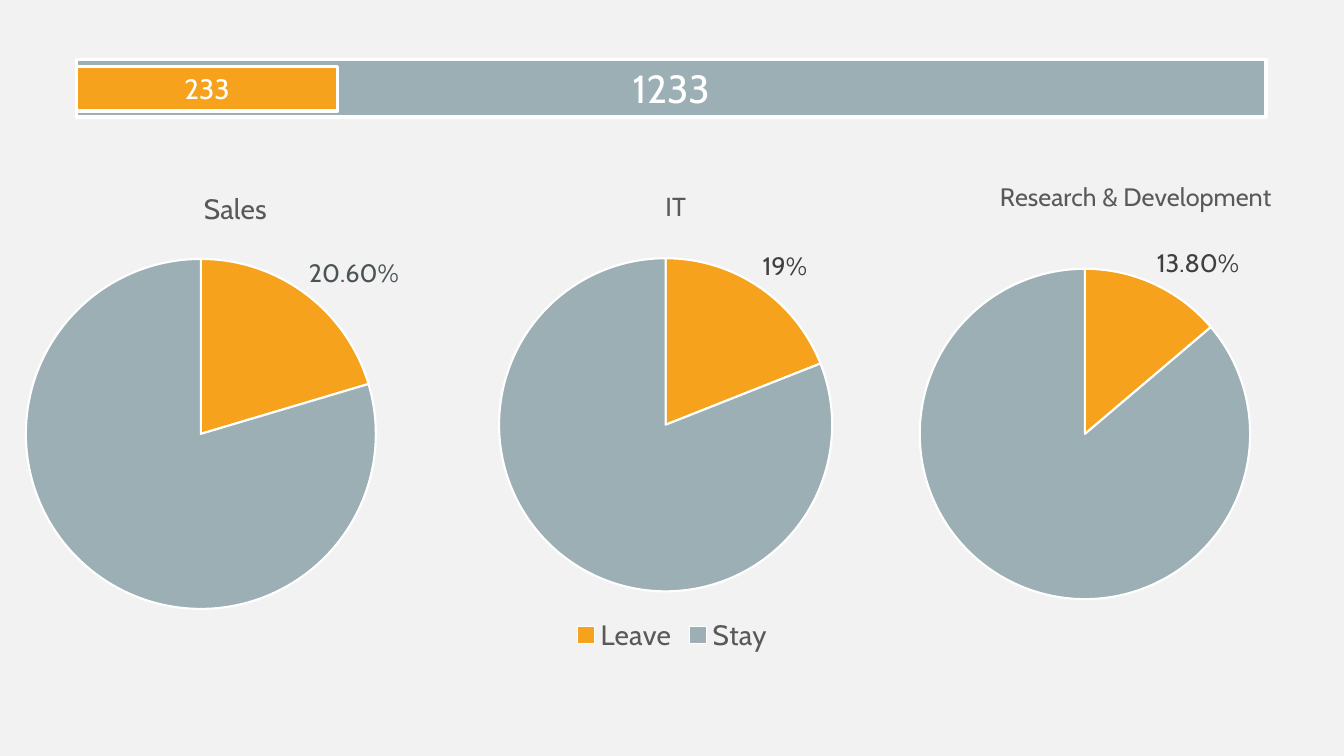
from lxml import etree
from pptx import Presentation
from pptx.chart.data import CategoryChartData
from pptx.dml.color import RGBColor
from pptx.enum.chart import XL_CHART_TYPE, XL_LABEL_POSITION, XL_LEGEND_POSITION
from pptx.enum.shapes import MSO_SHAPE
from pptx.enum.text import MSO_ANCHOR, PP_ALIGN
from pptx.oxml.ns import qn
from pptx.util import Pt

PIE = XL_CHART_TYPE.PIE
OUTSIDE_END = XL_LABEL_POSITION.OUTSIDE_END
BOTTOM = XL_LEGEND_POSITION.BOTTOM
RECTANGLE = MSO_SHAPE.RECTANGLE
MIDDLE, CENTER = MSO_ANCHOR.MIDDLE, PP_ALIGN.CENTER

FONT = "Cabin"
ORANGE, GREY, WHITE, TEXT = "F6A21D", "9BAFB5", "FFFFFF", "595959"

BARS = [
    ("1233", 28, GREY, (54.7, 42.5, 849.6, 41)),
    ("233", 20, ORANGE, (54.7, 47.5, 186.5, 31.7)),
]
PIES = [
    dict(title="Sales", size=20, title_at=(142, 131), values=(0.206, 0.804), format="0.00%",
         label="4A5356", frame=(-108.7, 114.5, 547.9, 331.2), center=(143.5, 310), radius=125,
         legend=False),
    dict(title="IT", size=18.6, title_at=(472, 131), values=(0.19, 0.81), format="0%",
         label="404040", frame=(241.9, 114.5, 476.6, 355.7), center=(475.5, 303.5), radius=119,
         legend=True),
    dict(title="Research & Development", size=18, title_at=(711, 125), values=(0.138, 0.862),
         format="0.00%", label="404040", frame=(560.9, 119.5, 455, 319), center=(775, 310),
         radius=118, legend=False),
]


def rgb(color):
    return RGBColor.from_string(color)


def set_font(font, size, color):
    font.name, font.size, font.bold = FONT, Pt(size), False
    font.color.rgb = rgb(color)


def paint(part, fill, width):
    part.fill.solid()
    part.fill.fore_color.rgb = rgb(fill)
    part.line.color.rgb = rgb(WHITE)
    part.line.width = Pt(width)


def place(element, settings):
    layout = element.find(qn("c:layout"))
    if layout is None:
        layout = etree.Element(qn("c:layout"))
        text = element.find(qn("c:tx"))
        element.insert(0 if text is None else element.index(text) + 1, layout)
    for child in list(layout):
        layout.remove(child)
    manual = etree.SubElement(layout, qn("c:manualLayout"))
    for tag, value in settings:
        etree.SubElement(manual, qn("c:" + tag)).set("val", str(value))


def add_pie(s, pie):
    left, top, width, height = pie["frame"]
    data = CategoryChartData(number_format=pie["format"])
    data.categories = ["Leave", "Stay"]
    data.add_series(pie["title"], pie["values"])
    chart = s.shapes.add_chart(PIE, *map(Pt, pie["frame"]), data).chart
    set_font(chart.font, 10, TEXT)

    tf = chart.chart_title.text_frame
    tf.text = pie["title"]
    set_font(tf.paragraphs[0].font, pie["size"], TEXT)
    chart.chart_title.include_in_layout = False
    x, y = pie["title_at"]
    modes = [("xMode", "edge"), ("yMode", "edge")]
    place(chart.chart_title._element,
          modes + [("x", (x - left) / width), ("y", (y - top) / height)])

    (cx, cy), radius = pie["center"], pie["radius"]
    place(chart._chartSpace.chart.plotArea, [("layoutTarget", "inner")] + modes + [
        ("x", (cx - radius - left) / width), ("y", (cy - radius - top) / height),
        ("w", 2 * radius / width), ("h", 2 * radius / height)])

    plot = chart.plots[0]
    plot.vary_by_categories = True
    series = plot.series[0]
    for i, color in enumerate((ORANGE, GREY)):
        paint(series.points[i].format, color, 1.5)

    labels = series.data_labels
    labels.show_value = True
    labels.number_format, labels.number_format_is_linked = pie["format"], False
    labels.position = OUTSIDE_END
    set_font(labels.font, 18, pie["label"])
    hidden = etree.Element(qn("c:dLbl"))
    etree.SubElement(hidden, qn("c:idx")).set("val", "1")
    etree.SubElement(hidden, qn("c:delete")).set("val", "1")
    labels._element.insert(0, hidden)

    chart.has_legend = pie["legend"]
    if pie["legend"]:
        chart.legend.position = BOTTOM
        chart.legend.include_in_layout = False
        set_font(chart.legend.font, 20, TEXT)


def add_bar(s, text, size, fill, box):
    sp = s.shapes.add_shape(RECTANGLE, *map(Pt, box))
    sp.shadow.inherit = False
    paint(sp, fill, 2.5)
    tf = sp.text_frame
    tf.word_wrap = True
    tf.vertical_anchor = MIDDLE
    p = tf.paragraphs[0]
    p.text, p.alignment = text, CENTER
    set_font(p.font, size, WHITE)


prs = Presentation()
prs.slide_width, prs.slide_height = Pt(960), Pt(540)
s = prs.slides.add_slide(prs.slide_layouts[6])
s.background.fill.solid()
s.background.fill.fore_color.rgb = rgb("F2F2F2")
for pie in PIES:
    add_pie(s, pie)
for bar in BARS:
    add_bar(s, *bar)
prs.save("out.pptx")
